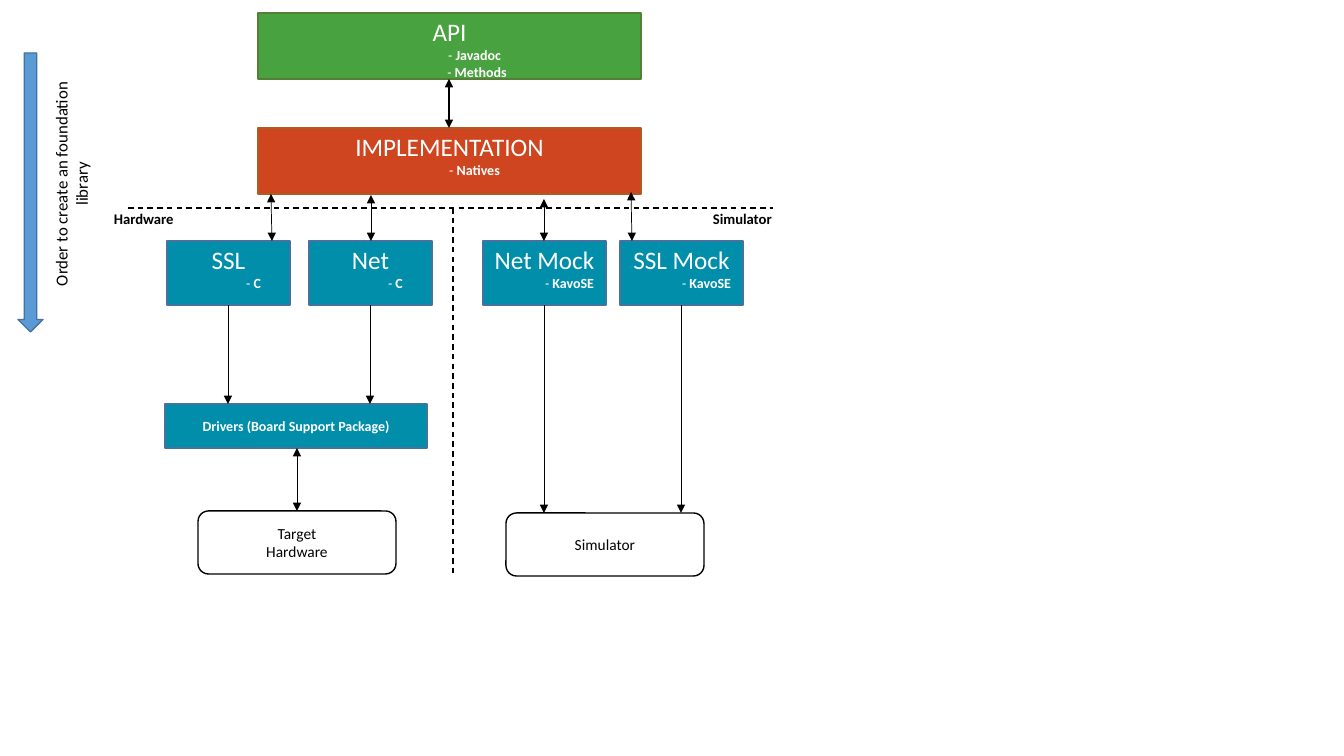
from lxml.etree import SubElement
from pptx import Presentation
from pptx.dml.color import RGBColor
from pptx.enum.dml import MSO_LINE
from pptx.enum.shapes import MSO_CONNECTOR, MSO_SHAPE as Preset
from pptx.enum.text import MSO_ANCHOR as Anchor, PP_ALIGN as Align
from pptx.oxml.ns import qn
from pptx.util import Pt

PX = 914400 / 100.8
WHITE, BLACK, TEAL, NAVY = "FFFFFF", "000000", "008EAA", "43739E"
SUB_INDENT = 50
MODULE_TOP, MODULE_WIDTH, MODULE_HEIGHT = 241, 123, 64

layers = {
    "API": ((258, 13, 383, 66), "48A23F", "538035", [("Javadoc", 0), ("Methods", 5)]),
    "IMPLEMENTATION": ((258, 128, 383, 66), "CF4520", "AF5C24", [("Natives", 0)]),
}
modules = [("SSL", 167, "C"), ("Net", 309, "C"),
           ("Net Mock", 483, "KavoSE"), ("SSL Mock", 620, "KavoSE")]
for module, left, language in modules:
    layers[module] = ((left, MODULE_TOP, MODULE_WIDTH, MODULE_HEIGHT), TEAL, NAVY,
                      [(language, 0)])

drivers = ("Drivers (Board Support Package)", (165, 404, 262, 44))
targets = [(["Simulator"], (506, 513, 198, 63)), (["Target", "Hardware"], (198, 511, 198, 63))]
side_labels = [("Simulator", 703), ("Hardware", 104)]
order_note = "Order to create an foundation library"
dividers = [((453, 208), (453, 576)), ((128, 208), (773, 208))]
implementation_links = [((271, 194), (272, 241)), ((371, 195), (371, 241)),
                        ((544, 199), (544, 241)), ((631, 192), (632, 241))]


def emu(pixels):
    return round(pixels * PX)


def rgb(code):
    return RGBColor.from_string(code)


def add_run(paragraph, words, size, color, bold=False):
    run = paragraph.add_run()
    run.text = words
    run.font.name, run.font.size, run.font.bold = "Calibri", Pt(size), bold
    run.font.color.rgb = rgb(color)


def add_block(preset, place, fill, outline, anchor=Anchor.MIDDLE):
    block = slide.shapes.add_shape(preset, *map(emu, place))
    block.shadow.inherit = False
    block.fill.solid()
    block.fill.fore_color.rgb = rgb(fill)
    block.line.color.rgb = rgb(outline)
    block.line.width = Pt(1)
    block.text_frame.word_wrap = True
    block.text_frame.vertical_anchor = anchor
    return block.text_frame


def add_lines(frame, lines, size, color, bold=False, align=Align.CENTER):
    for number, words in enumerate(lines):
        paragraph = frame.add_paragraph() if number else frame.paragraphs[0]
        paragraph.alignment = align
        add_run(paragraph, words, size, color, bold)


def add_label(words, place, size, bold, align, rotation=0):
    label = slide.shapes.add_textbox(*map(emu, place))
    label.rotation = rotation
    label.text_frame.word_wrap = True
    add_lines(label.text_frame, [words], size, BLACK, bold, align)


def add_link(start, end, heads=(), width=0.5, dash=None):
    link = slide.shapes.add_connector(MSO_CONNECTOR.STRAIGHT, *map(emu, start + end))
    link.line.color.rgb = rgb(BLACK)
    link.line.width = Pt(width)
    link.line.dash_style = dash
    outline = link.line._get_or_add_ln()
    for head in heads:
        SubElement(outline, qn("a:" + head), type="triangle")
    SubElement(link._element.spPr, qn("a:effectLst"))


def center_x(place):
    return place[0] + place[2] // 2


def bottom(place):
    return place[1] + place[3]


presentation = Presentation()
presentation.slide_width, presentation.slide_height = emu(1344), emu(756)
slide = presentation.slides.add_slide(presentation.slide_layouts[6])

for title, (place, fill, outline, details) in layers.items():
    frame = add_block(Preset.RECTANGLE, place, fill, outline, Anchor.TOP)
    frame.margin_top = emu(3)
    frame.margin_bottom = 0
    add_lines(frame, [title], 18, WHITE)
    for detail, shift in details:
        paragraph = frame.add_paragraph()
        paragraph.alignment = Align.CENTER
        paragraph.level = 1
        properties = paragraph._p.get_or_add_pPr()
        properties.set("marL", str(emu(SUB_INDENT + shift)))
        properties.set("indent", "0")
        add_run(paragraph, "- ", 10, WHITE)
        add_run(paragraph, detail, 10, WHITE, True)

add_block(Preset.DOWN_ARROW, (18, 53, 25, 279), "5B9BD5", NAVY)
add_label(order_note, (-59, 159, 260, 50), 12, False, Align.CENTER, 270)

driver_name, driver_place = drivers
add_lines(add_block(Preset.RECTANGLE, driver_place, TEAL, NAVY), [driver_name], 10, WHITE, True)
for lines, place in targets:
    add_lines(add_block(Preset.ROUNDED_RECTANGLE, place, WHITE, BLACK), lines, 11, BLACK)
for words, left in side_labels:
    add_label(words, (left, 205, 126, 29), 10.5, True, Align.LEFT)

for start, end in dividers:
    add_link(start, end, width=1, dash=MSO_LINE.DASH)

both_ends = ("headEnd", "tailEnd")
simulator_place, hardware_place = [place for lines, place in targets]
for module, left, language in modules:
    place = layers[module][0]
    goal = simulator_place if module.endswith("Mock") else driver_place
    x = center_x(place)
    add_link((x, bottom(place)), (x, goal[1]), ["tailEnd"])
for start, end in implementation_links:
    add_link(start, end, both_ends)

api_place, implementation_place = layers["API"][0], layers["IMPLEMENTATION"][0]
for upper, lower, width in [(api_place, implementation_place, 1),
                            (driver_place, hardware_place, 0.5)]:
    x = center_x(lower)
    add_link((x, bottom(upper)), (x, lower[1]), both_ends, width)

presentation.save("out.pptx")
